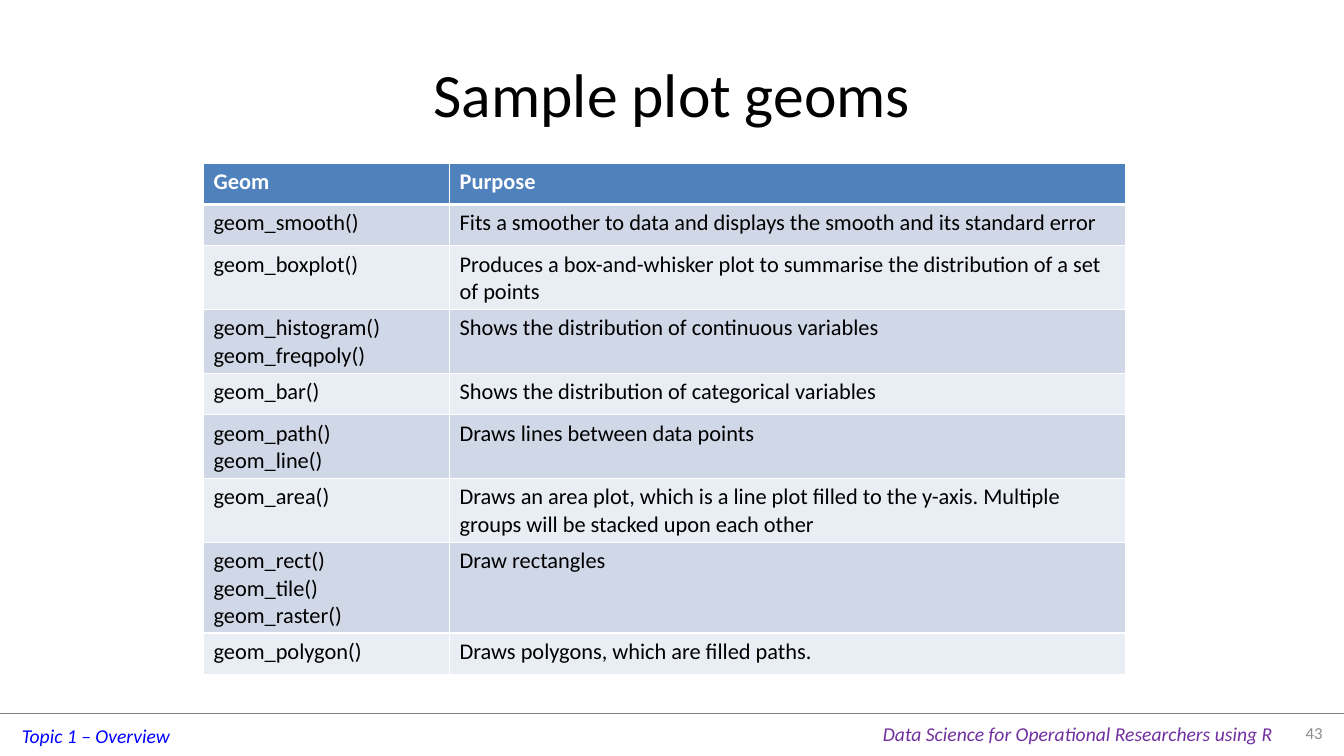
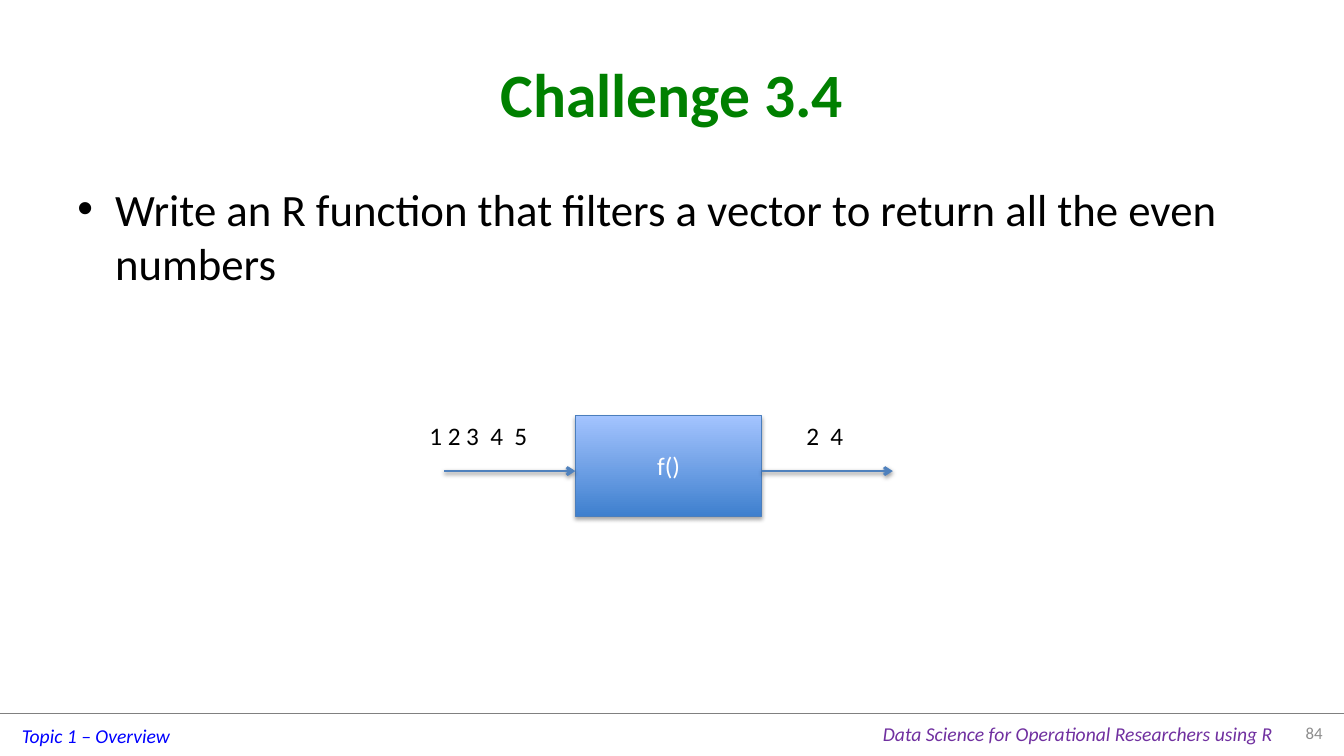
from lxml.etree import SubElement
from pptx import Presentation
from pptx.dml.color import RGBColor
from pptx.enum.shapes import MSO_CONNECTOR, MSO_SHAPE
from pptx.enum.text import MSO_ANCHOR, PP_ALIGN
from pptx.oxml.ns import qn
from pptx.util import Cm, Pt

FONT = "Calibri"
WIDE, HIGH = 33.87, 19.05
BLACK, WHITE, GREEN = "000000", "FFFFFF", "008000"
BLUE, RIM, DEEP, PALE = "4F81BD", "4B7EBC", "3F80CE", "A4C4FF"
BANDS = ("D0D8E8", "E9EDF4")
TOPIC, COURSE, GREY, RULE = "0000FF", "7030A0", "8C8C8C", "808080"

TITLE = (1.7, 0.76, 30.48, 3.18)
BODY = (1.7, 4.45, 30.48, 12.57)
FOOT = 17.96

GEOMS = [
    ("geom_smooth()", "Fits a smoother to data and displays the smooth and its standard error"),
    ("geom_boxplot()", "Produces a box-and-whisker plot to summarise the distribution of a set of points"),
    ("geom_histogram()\ngeom_freqpoly()", "Shows the distribution of continuous variables"),
    ("geom_bar()", "Shows the distribution of categorical variables"),
    ("geom_path()\ngeom_line()", "Draws lines between data points"),
    ("geom_area()", "Draws an area plot, which is a line plot filled to the y-axis. "
                    "Multiple groups will be stacked upon each other"),
    ("geom_rect()\ngeom_tile()\ngeom_raster()", "Draw rectangles"),
    ("geom_polygon()", "Draws polygons, which are filled paths."),
]


def color(code):
    return RGBColor.from_string(code)


def node(parent, tag, **attrs):
    return SubElement(parent, qn(tag), {k: str(v) for k, v in attrs.items()})


# Text
def write(frame, text, size, code, bold=False, slant=False, align=PP_ALIGN.LEFT):
    for i, line in enumerate(text.split("\n")):
        para = frame.add_paragraph() if i else frame.paragraphs[0]
        para.alignment = align
        run = para.add_run()
        run.text = line
        font = run.font
        font.name, font.size = FONT, Pt(size)
        font.bold, font.italic = bold, slant
        font.color.rgb = color(code)


def label(slide, box, text, size, code, wrap=False, mid=False, **style):
    frame = slide.shapes.add_textbox(*map(Cm, box)).text_frame
    frame.word_wrap = wrap
    frame.vertical_anchor = MSO_ANCHOR.MIDDLE if mid else MSO_ANCHOR.TOP
    write(frame, text, size, code, **style)
    return frame


# Lines and effects
def shade(shape, alpha=0, dist=0):
    """Set a soft shadow below the shape, or none when alpha is 0."""
    props = shape._element.spPr
    for old in props.findall(qn("a:effectLst")):
        props.remove(old)
    list_ = node(props, "a:effectLst")
    if alpha:
        drop = node(list_, "a:outerShdw", blurRad=Pt(3.1), dist=Pt(dist),
                    dir=5400000, rotWithShape=0)
        node(node(drop, "a:srgbClr", val=BLACK), "a:alpha", val=alpha * 1000)


def line(slide, x, y, width, code, weight):
    link = slide.shapes.add_connector(
        MSO_CONNECTOR.STRAIGHT, Cm(x), Cm(y), Cm(x + width), Cm(y))
    link.line.color.rgb = color(code)
    link.line.width = Pt(weight)
    shade(link)
    return link


def arrow(slide, x, y, width):
    link = line(slide, x, y, width, BLUE, 2)
    node(link.line._get_or_add_ln(), "a:tailEnd", type="arrow")
    shade(link, 38, 1.6)


# Shared frame: title, rule, footers, slide number
def page(deck, title, number, code=BLACK, bold=False):
    slide = deck.slides.add_slide(deck.slide_layouts[6])
    line(slide, 0, FOOT, WIDE, RULE, 0.25)
    label(slide, (0.3, FOOT + 0.15, 4.27, 0.86), "Topic 1 – Overview", 14, TOPIC, slant=True)
    label(slide, (22, FOOT + 0.1, 10.44, 0.86),
          "Data Science for Operational Researchers using R", 14, COURSE, slant=True)
    label(slide, TITLE, title, 44, code, wrap=True, mid=True, bold=bold,
          align=PP_ALIGN.CENTER)
    label(slide, (32.18, FOOT, 1.4, 0.99), str(number), 12, GREY, wrap=True, mid=True,
          align=PP_ALIGN.RIGHT)
    return slide


# Table
def edge(cell, head):
    props = cell._tc.get_or_add_tcPr()
    for side in "LRTB":
        # The header row and the row below share a heavy rule
        thick = 3 if head and side == "B" else 1
        rim = node(props, f"a:ln{side}", w=Pt(thick))
        node(node(rim, "a:solidFill"), "a:srgbClr", val=WHITE)


def grid(slide, x, y, cols, step, rows):
    table = slide.shapes.add_table(len(rows), len(cols), Cm(x), Cm(y),
                                   Cm(sum(cols)), Cm(step * len(rows))).table
    for col, width in zip(table.columns, cols):
        col.width = Cm(width)
    for r, row in enumerate(rows):
        table.rows[r].height = Cm(step)
        head = r == 0
        for c, text in enumerate(row):
            cell = table.cell(r, c)
            edge(cell, head)
            cell.fill.solid()
            cell.fill.fore_color.rgb = color(BLUE if head else BANDS[(r - 1) % 2])
            write(cell.text_frame, text, 16, WHITE if head else BLACK, bold=head)


# Bullet text
def bullet(slide, box, text):
    frame = label(slide, box, text, 32, BLACK, wrap=True)
    props = frame.paragraphs[0]._p.get_or_add_pPr()
    props.set("marL", str(Cm(0.95)))
    props.set("indent", str(-Cm(0.95)))
    node(props, "a:buFont", typeface="Arial")
    node(props, "a:buChar", char="•")


# Function diagram: input arrow, box, output arrow
def flow(slide, x, y, reach=3.3, width=4.7, height=2.54):
    left, right = x + reach, x + reach + width
    box = slide.shapes.add_shape(MSO_SHAPE.RECTANGLE, Cm(left), Cm(y), Cm(width), Cm(height))
    box.fill.gradient()
    box.fill.gradient_angle = 90
    for stop, code in zip(box.fill.gradient_stops, (DEEP, PALE)):
        stop.color.rgb = color(code)
    for stop, place in zip(box.fill.gradient_stops, (0, 1)):
        stop.position = place
    box.line.color.rgb = color(RIM)
    box.line.width = Pt(0.75)
    shade(box, 35, 1.8)
    box.text_frame.vertical_anchor = MSO_ANCHOR.MIDDLE
    write(box.text_frame, "f()", 18, WHITE, align=PP_ALIGN.CENTER)
    for start in (x, right):
        arrow(slide, start, y + 1.4, reach)
    label(slide, (x - 0.63, y, 3.18, 1.02), "1 2 3  4  5", 18, BLACK)
    label(slide, (right + 0.87, y, 1.45, 1.02), "2  4", 18, BLACK)


def main():
    deck = Presentation()
    deck.slide_width, deck.slide_height = Cm(WIDE), Cm(HIGH)

    slide = page(deck, "Sample plot geoms", 43)
    grid(slide, 5.13, 4.11, (6.2, 17.04), 1.04, [("Geom", "Purpose")] + GEOMS)

    slide = page(deck, "Challenge 3.4", 84, GREEN, True)
    bullet(slide, BODY, "Write an R function that filters a vector to return all the even numbers")
    flow(slide, 11.2, 10.47)

    deck.save("out.pptx")


if __name__ == "__main__":
    main()
